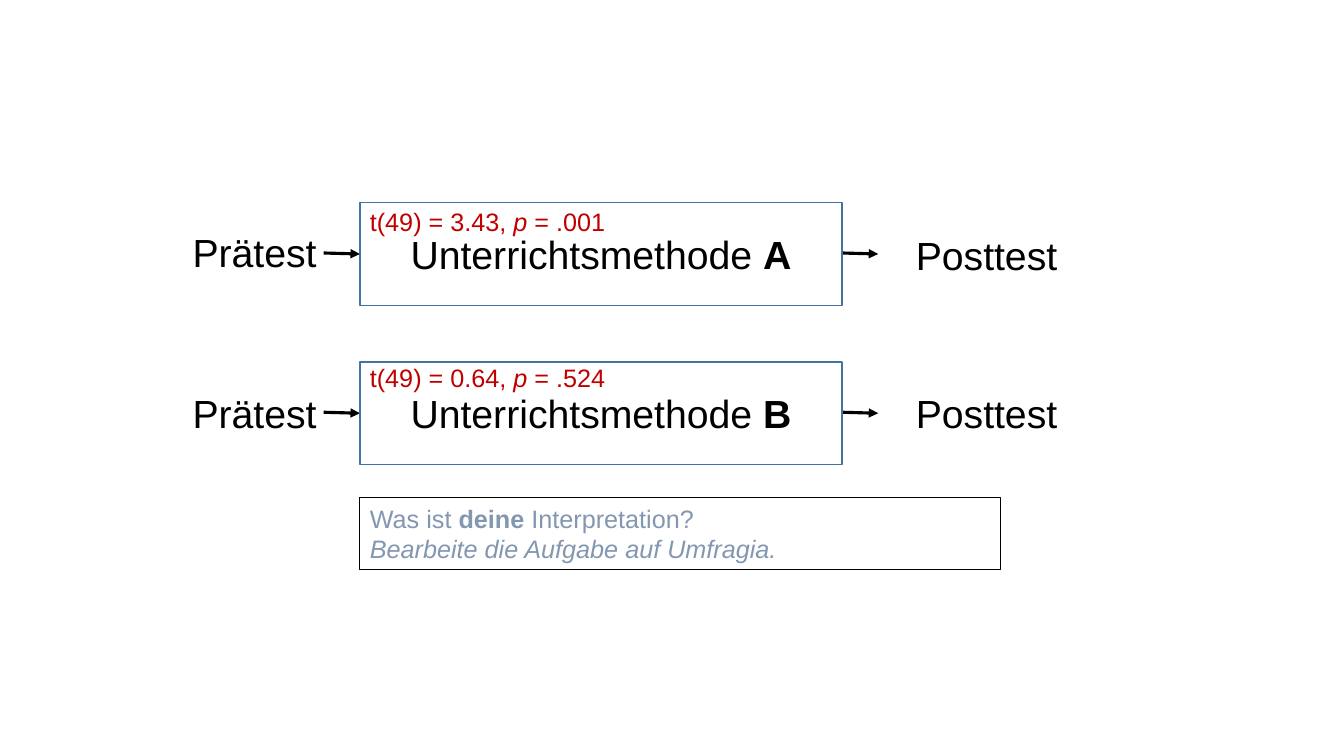
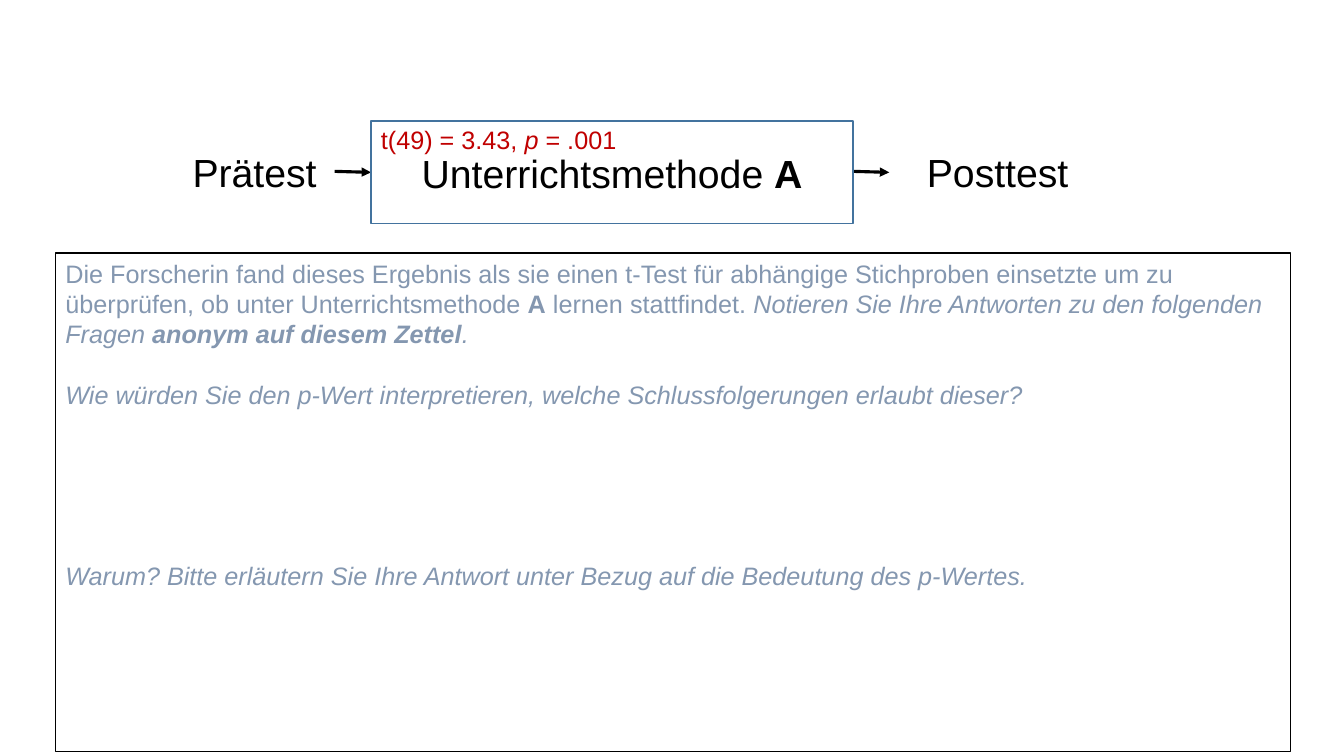
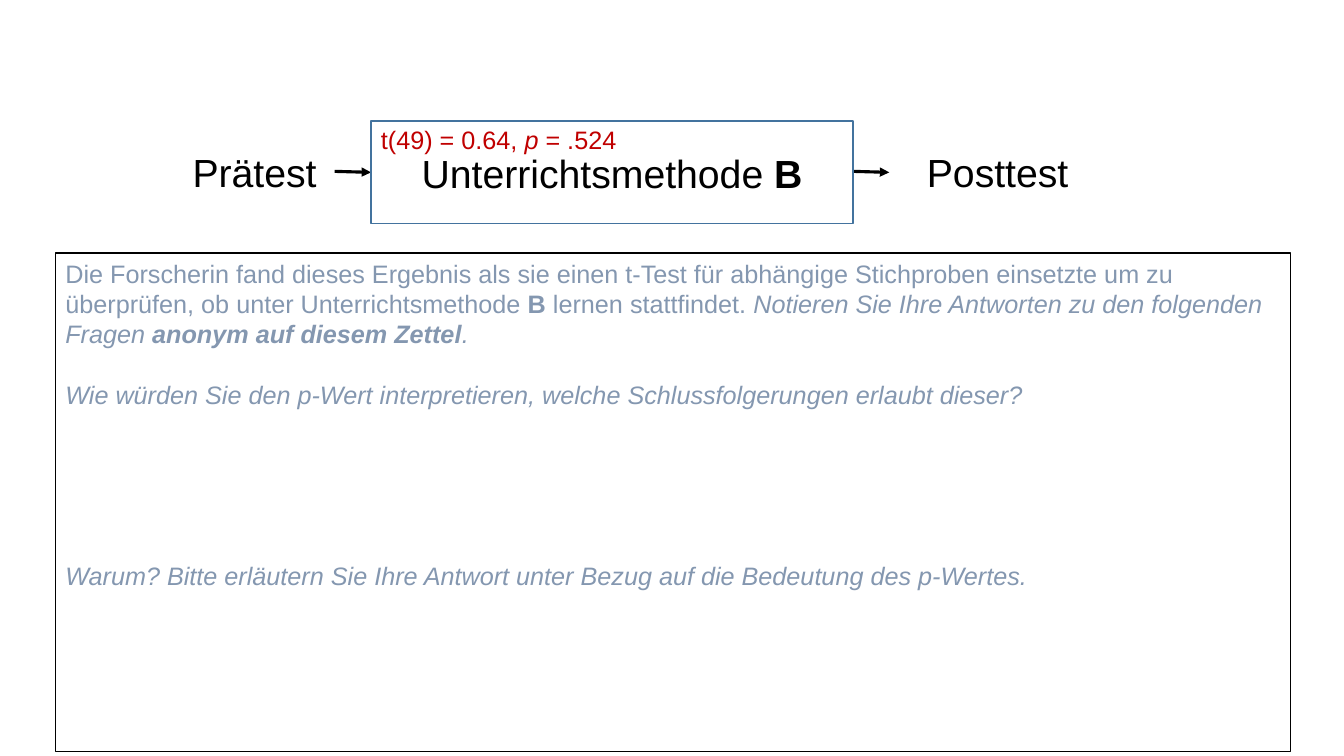
"""Builds three slides on pre-test and post-test results of two teaching methods."""
import dataclasses
import typing

import lxml.etree
import pptx
import pptx.dml.color
import pptx.enum.shapes
import pptx.enum.text
import pptx.oxml.ns
import pptx.util

Inches = pptx.util.Inches
Pt = pptx.util.Pt
Align = pptx.enum.text.PP_ALIGN
Anchor = pptx.enum.text.MSO_ANCHOR

FONT = "Arial"
BLACK, RED, GREY_BLUE, BLUE = "000000", "C00000", "8497B0", "43739E"
LARGE, SMALL = 28, 18
LINE_PT = 1.2 * SMALL
BOX_W, BOX_H = 4.78, 1.02
LABEL_W, LABEL_H = 2.87, 0.57
ARROW_W = 0.36
PRE_LEFT = 1.09


@dataclasses.dataclass(frozen=True)
class Run:
    text: str
    bold: bool = False
    italic: bool = False


@dataclasses.dataclass(frozen=True)
class Para:
    runs: tuple[Run, ...]
    lines_after: int = 0


@dataclasses.dataclass(frozen=True)
class Method:
    name: str
    t: str
    p: str


@dataclasses.dataclass(frozen=True)
class Row:
    method: Method
    left: float
    top: float
    pre_top: float
    post_top: float
    stat_top: float


METHOD_A = Method("A", "3.43", ".001")
METHOD_B = Method("B", "0.64", ".524")


def rgb(color: str) -> pptx.dml.color.RGBColor:
    return pptx.dml.color.RGBColor.from_string(color)


def write(sp: typing.Any, paras: typing.Sequence[Para], size: int, color: str,
          align: Align = Align.LEFT, anchor: Anchor = Anchor.TOP) -> None:
    tf = sp.text_frame
    tf.word_wrap = True
    tf.vertical_anchor = anchor
    for i, para in enumerate(paras):
        p = tf.add_paragraph() if i else tf.paragraphs[0]
        p.alignment = align
        p.space_after = Pt(para.lines_after * LINE_PT)
        for run in para.runs:
            r = p.add_run()
            r.text = run.text
            r.font.name = FONT
            r.font.size = Pt(size)
            r.font.bold = run.bold
            r.font.italic = run.italic
            r.font.color.rgb = rgb(color)


def add_text(s: typing.Any, left: float, top: float, width: float, height: float,
             runs: tuple[Run, ...], size: int, color: str, align: Align = Align.LEFT) -> None:
    sp = s.shapes.add_textbox(Inches(left), Inches(top), Inches(width), Inches(height))
    write(sp, [Para(runs)], size, color, align)


def add_frame(s: typing.Any, left: float, top: float, width: float, height: float,
              color: str, weight: float) -> typing.Any:
    sp = s.shapes.add_shape(pptx.enum.shapes.MSO_SHAPE.RECTANGLE, Inches(left), Inches(top),
                            Inches(width), Inches(height))
    sp.shadow.inherit = False
    sp.fill.background()
    sp.line.color.rgb = rgb(color)
    sp.line.width = Pt(weight)
    return sp


def add_arrow(s: typing.Any, left: float, top: float) -> None:
    sp = s.shapes.add_connector(pptx.enum.shapes.MSO_CONNECTOR.STRAIGHT, Inches(left), Inches(top),
                                Inches(left + ARROW_W), Inches(top + 0.01))
    sp.line.color.rgb = rgb(BLACK)
    sp.line.width = Pt(2.25)
    qn = pptx.oxml.ns.qn
    lxml.etree.SubElement(sp.line._get_or_add_ln(), qn("a:tailEnd"), type="triangle")
    lxml.etree.SubElement(sp._element.spPr, qn("a:effectLst"))


def add_row(s: typing.Any, row: Row) -> None:
    right = row.left + BOX_W
    middle = row.top + BOX_H / 2
    m = row.method
    for label, left, top in (("Prätest", PRE_LEFT, row.pre_top), ("Posttest", right, row.post_top)):
        add_text(s, left, top, LABEL_W, LABEL_H, (Run(label),), LARGE, BLACK, Align.CENTER)
    for left in (row.left - ARROW_W, right):
        add_arrow(s, left, middle - 0.01)
    stat = (Run(f"t(49) = {m.t}, "), Run("p", italic=True), Run(f" = {m.p}"))
    add_text(s, row.left, row.stat_top, BOX_W, 0.4, stat, SMALL, RED)
    sp = add_frame(s, row.left, row.top, BOX_W, BOX_H, BLUE, 1)
    title = Para((Run("Unterrichtsmethode "), Run(m.name, bold=True)))
    write(sp, [title], LARGE, BLACK, Align.CENTER, Anchor.MIDDLE)


def add_task(s: typing.Any, left: float, top: float, width: float, height: float,
             paras: typing.Sequence[Para]) -> None:
    sp = add_frame(s, left, top, width, height, BLACK, 0.75)
    write(sp, paras, SMALL, GREY_BLUE)


def overview_slide(s: typing.Any) -> None:
    add_row(s, Row(METHOD_A, 3.57, 2.01, 2.22, 2.25, 2.0))
    add_row(s, Row(METHOD_B, 3.57, 3.59, 3.81, 3.81, 3.55))
    add_task(s, 3.57, 4.94, 6.35, 0.71, [
        Para((Run("Was ist "), Run("deine", bold=True), Run(" Interpretation?"))),
        Para((Run("Bearbeite die Aufgabe auf Umfragia.", italic=True),)),
    ])


def question_slide(s: typing.Any, method: Method) -> None:
    add_row(s, Row(method, 3.68, 1.2, 1.42, 1.42, 1.18))
    add_task(s, 0.55, 2.51, 12.25, 4.95, [
        Para((
            Run("Die Forscherin fand dieses Ergebnis als sie einen t-Test für abhängige Stichproben "
                "einsetzte um zu überprüfen, ob unter Unterrichtsmethode "),
            Run(method.name, bold=True),
            Run(" lernen stattfindet. "),
            Run("Notieren Sie Ihre Antworten zu den folgenden Fragen ", italic=True),
            Run("anonym auf diesem Zettel", bold=True, italic=True),
            Run(".", italic=True),
        ), lines_after=1),
        Para((Run("Wie würden Sie den p-Wert interpretieren, welche Schlussfolgerungen erlaubt dieser?",
                  italic=True),), lines_after=5),
        Para((Run("Warum? Bitte erläutern Sie Ihre Antwort unter Bezug auf die Bedeutung des p-Wertes.",
                  italic=True),)),
    ])


def main() -> None:
    prs = pptx.Presentation()
    prs.slide_width, prs.slide_height = Inches(13.33), Inches(7.5)
    blank = prs.slide_layouts[6]
    overview_slide(prs.slides.add_slide(blank))
    for method in (METHOD_A, METHOD_B):
        question_slide(prs.slides.add_slide(blank), method)
    prs.save("out.pptx")


if __name__ == "__main__":
    main()
